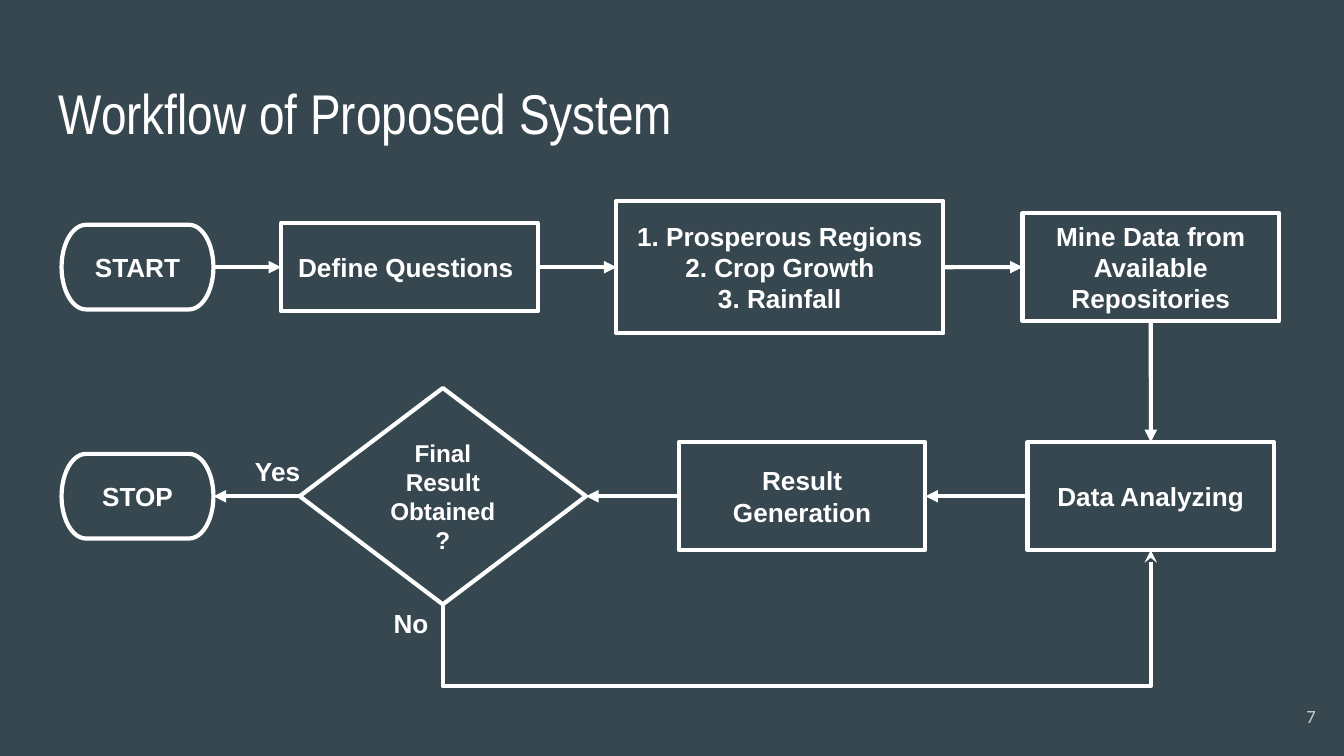
"""Build the workflow slide of the proposed system."""
import pptx
import pptx.dml.color
import pptx.enum.shapes
import pptx.enum.text
import pptx.oxml
import pptx.oxml.ns
import pptx.util

Cm = pptx.util.Cm
RGBColor = pptx.dml.color.RGBColor
Form = pptx.enum.shapes.MSO_SHAPE
Link = pptx.enum.shapes.MSO_CONNECTOR
Align = pptx.enum.text.PP_ALIGN
Anchor = pptx.enum.text.MSO_ANCHOR

SLATE = RGBColor(0x37, 0x47, 0x4F)
WHITE = RGBColor(0xFF, 0xFF, 0xFF)
GREY = RGBColor(0xCA, 0xCA, 0xCA)

TOP, LEFT, BOTTOM, RIGHT = range(4)


class Chart:
    font = "Arial"
    size = 14
    width = pptx.util.Pt(2.25)
    inset = Cm(0.25)

    def __init__(self, slide):
        self.slide = slide
        slide.background.fill.solid()
        slide.background.fill.fore_color.rgb = SLATE

    def text(self, shape, words, size=None, font=None, color=WHITE, bold=True,
             align=Align.CENTER, anchor=Anchor.MIDDLE):
        frame = shape.text_frame
        frame.text = words
        frame.word_wrap = True
        frame.auto_size = pptx.enum.text.MSO_AUTO_SIZE.NONE
        frame.vertical_anchor = anchor
        frame.margin_left = frame.margin_right = self.inset
        frame.margin_top = frame.margin_bottom = self.inset
        for para in frame.paragraphs:
            para.alignment = align
            for run in para.runs:
                run.font.name = font or self.font
                run.font.size = pptx.util.Pt(size or self.size)
                run.font.bold = bold
                run.font.color.rgb = color

    def title(self, words, x, y, w, h):
        shape = self.slide.shapes.title
        shape.left, shape.top, shape.width, shape.height = map(Cm, (x, y, w, h))
        self.text(shape, words, 30, "Arial Narrow", bold=False,
                  align=Align.LEFT, anchor=Anchor.TOP)

    def label(self, words, x, y, w, h, **style):
        box = self.slide.shapes.add_textbox(*map(Cm, (x, y, w, h)))
        self.text(box, words, **style)

    def node(self, words, x, y, w, h, form=Form.RECTANGLE, size=None):
        box = self.slide.shapes.add_shape(
            form, *map(Cm, (x - w / 2, y - h / 2, w, h)))
        box.shadow.inherit = False
        box.fill.background()
        box.line.color.rgb = WHITE
        box.line.width = self.width
        self.text(box, words, size)
        return box

    def style(self, line, head):
        line.line.color.rgb = WHITE
        line.line.width = self.width
        props = line._element.spPr
        stroke = props.find(pptx.oxml.ns.qn("a:ln"))
        stroke.append(pptx.oxml.parse_xml(
            f'<a:tailEnd {pptx.oxml.ns.nsdecls("a")} type="{head}"/>'))
        props.append(pptx.oxml.parse_xml(
            f'<a:effectLst {pptx.oxml.ns.nsdecls("a")}/>'))

    def arrow(self, start, out, end, into):
        line = self.slide.shapes.add_connector(Link.STRAIGHT, 0, 0, 0, 0)
        line.begin_connect(start, out)
        line.end_connect(end, into)
        self.style(line, "triangle")

    def loop(self, start, end, drop):
        x1, y1 = start.left + start.width // 2, start.top + start.height
        x2, y2 = end.left + end.width // 2, end.top + end.height
        rise, run = y1 - y2, x2 - x1
        x, y = (x1 + x2 - rise) // 2, (y1 + y2 - run) // 2
        line = self.slide.shapes.add_connector(
            Link.ELBOW, x, y, x + rise, y + run)
        props = line._element.spPr
        props.find(pptx.oxml.ns.qn("a:xfrm")).set("rot", str(270 * 60000))
        bend = round(-100000 * Cm(drop) / rise)
        guides = props.find(".//" + pptx.oxml.ns.qn("a:avLst"))
        guides.append(pptx.oxml.parse_xml(
            f'<a:gd {pptx.oxml.ns.nsdecls("a")} name="adj1" fmla="val {bend}"/>'))
        self.style(line, "stealth")


def main():
    deck = pptx.Presentation()
    deck.slide_width, deck.slide_height = Cm(25.4), Cm(14.29)
    chart = Chart(deck.slides.add_slide(deck.slide_layouts[5]))
    chart.title("Workflow of Proposed System", 0.86, 1.24, 23.67, 1.6)

    high, low = 5.05, 9.38
    first, last = 2.6, 21.75
    cap = Form.FLOWCHART_TERMINATOR
    start = chart.node("START", first, high, 2.87, 1.6, cap)
    define = chart.node("Define Questions ", 7.74, high, 4.85, 1.67)
    topics = chart.node("1. Prosperous Regions\n2. Crop Growth\n3. Rainfall",
                        14.74, high, 6.18, 2.5)
    mine = chart.node("Mine Data from Available Repositories",
                      last, high, 4.85, 2.04)
    study = chart.node("Data Analyzing", last, low, 4.66, 2.04)
    result = chart.node("Result Generation", 15.16, low, 4.66, 2.04)
    stop = chart.node("STOP", first, low, 2.87, 1.6, cap)
    check = chart.node("Final Result Obtained?", 8.37, low, 5.41, 4.09,
                       Form.FLOWCHART_DECISION, 13)

    upper = [start, define, topics, mine]
    for left, right in zip(upper, upper[1:]):
        chart.arrow(left, RIGHT, right, LEFT)
    chart.arrow(mine, BOTTOM, study, TOP)
    lower = [study, result, check, stop]
    for right, left in zip(lower, lower[1:]):
        chart.arrow(right, LEFT, left, RIGHT)
    chart.loop(check, study, 1.55)

    side = dict(align=Align.LEFT, anchor=Anchor.TOP)
    chart.label("Yes", 4.57, 8.36, 1.63, 0.89, **side)
    chart.label("No", 7.19, 11.23, 1.27, 0.89, **side)
    chart.label("7", 23.6, 13, 1.52, 1.09, size=10, font="Calibri",
                color=GREY, bold=False, align=Align.RIGHT)
    deck.save("out.pptx")


if __name__ == "__main__":
    main()
